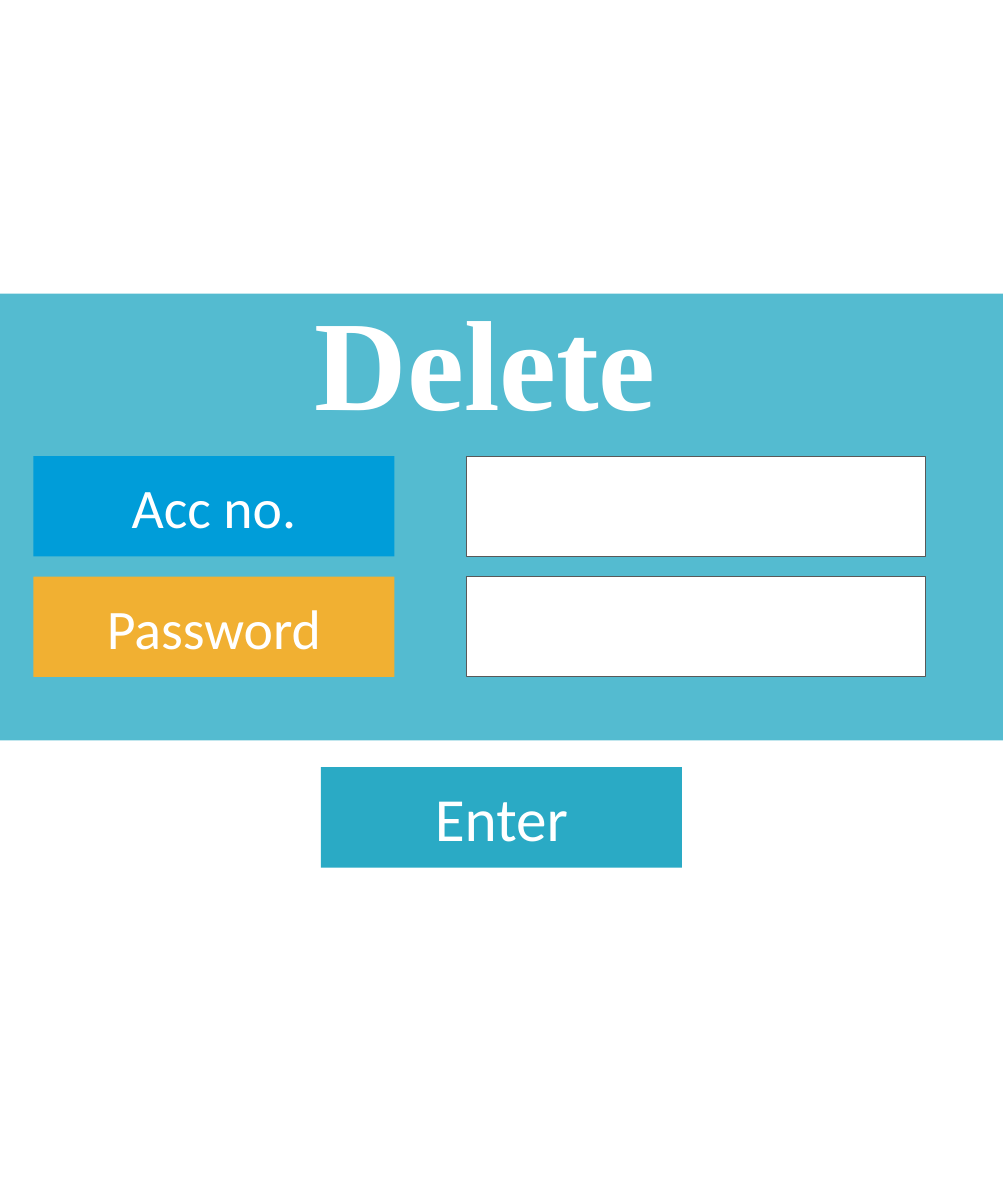
import pptx
import pptx.util
import pptx.dml.color
import pptx.enum.shapes
import pptx.enum.text
import pptx.oxml
import pptx.oxml.ns

RGBColor = pptx.dml.color.RGBColor
WHITE = RGBColor(0xFF, 0xFF, 0xFF)
TEAL = RGBColor(0x2A, 0xAA, 0xC5)
BLUE = RGBColor(0x00, 0x9D, 0xD9)
AMBER = RGBColor(0xF1, 0xB0, 0x32)
GREY = RGBColor(0x59, 0x59, 0x59)

EMU_PER_PX = 9144  # 100 px to the inch
SLIDE_WIDTH, SLIDE_HEIGHT = 1500, 1800


def px(length):
    return pptx.util.Emu(length * EMU_PER_PX)


class FormSlide:
    """Holds the style and the current slide."""

    label_font = "Calibri"
    title_font = "Times New Roman"
    text_color = WHITE

    def __init__(self, presentation):
        self.slide = presentation.slides.add_slide(presentation.slide_layouts[5])

    def set_text(self, shape, text, font_name, size, bold=False):
        frame = shape.text_frame
        frame.text = text
        frame.word_wrap = True
        frame.auto_size = pptx.enum.text.MSO_AUTO_SIZE.NONE
        frame.vertical_anchor = pptx.enum.text.MSO_ANCHOR.MIDDLE
        paragraph = frame.paragraphs[0]
        paragraph.alignment = pptx.enum.text.PP_ALIGN.CENTER
        font = paragraph.font
        font.name, font.size, font.bold = font_name, pptx.util.Pt(size), bold
        font.color.rgb = self.text_color

    def title(self, text, left, top, width, height, size):
        shape = self.slide.shapes.title
        shape.left, shape.top = px(left), px(top)
        shape.width, shape.height = px(width), px(height)
        self.set_text(shape, text, self.title_font, size, bold=True)
        # Bring the title in front of the band
        shape.element.getparent().append(shape.element)

    def box(self, left, top, width, height, fill, line=None, opacity=100):
        shape = self.slide.shapes.add_shape(
            pptx.enum.shapes.MSO_SHAPE.RECTANGLE,
            px(left), px(top), px(width), px(height))
        shape.shadow.inherit = False
        shape.fill.solid()
        shape.fill.fore_color.rgb = fill
        if opacity < 100:
            color = shape.element.spPr.find(".//" + pptx.oxml.ns.qn("a:srgbClr"))
            color.append(pptx.oxml.parse_xml(
                f'<a:alpha {pptx.oxml.ns.nsdecls("a")} val="{opacity * 1000}"/>'))
        if line is None:
            shape.line.fill.background()
        else:
            shape.line.color.rgb = line
            shape.line.width = pptx.util.Pt(1)
        return shape

    def label(self, text, left, top, width, height, fill, size):
        shape = self.box(left, top, width, height, fill)
        self.set_text(shape, text, self.label_font, size)


def main():
    presentation = pptx.Presentation()
    presentation.slide_width = px(SLIDE_WIDTH)
    presentation.slide_height = px(SLIDE_HEIGHT)
    form = FormSlide(presentation)

    # Background band
    band_top = 439
    form.box(0, band_top, SLIDE_WIDTH, 668, TEAL, opacity=80)

    # Labels, each with its input field
    label_width, row_height, row_step, first_row = 540, 150, 180, 682
    rows = [("Acc no.", BLUE), ("Password", AMBER)]
    for index, (text, fill) in enumerate(rows):
        top = first_row + index * row_step
        form.label(text, 50, top, label_width, row_height, fill, 60)
        form.box(698, top, 686, row_height, WHITE, line=GREY)

    # Enter button, centred on the slide
    form.label("Enter", (SLIDE_WIDTH - label_width) // 2, 1147,
               label_width, row_height, TEAL, 66)

    # Title
    form.title("Delete ", 320, band_top, 860, 195, 138)

    presentation.save("out.pptx")


if __name__ == "__main__":
    main()
